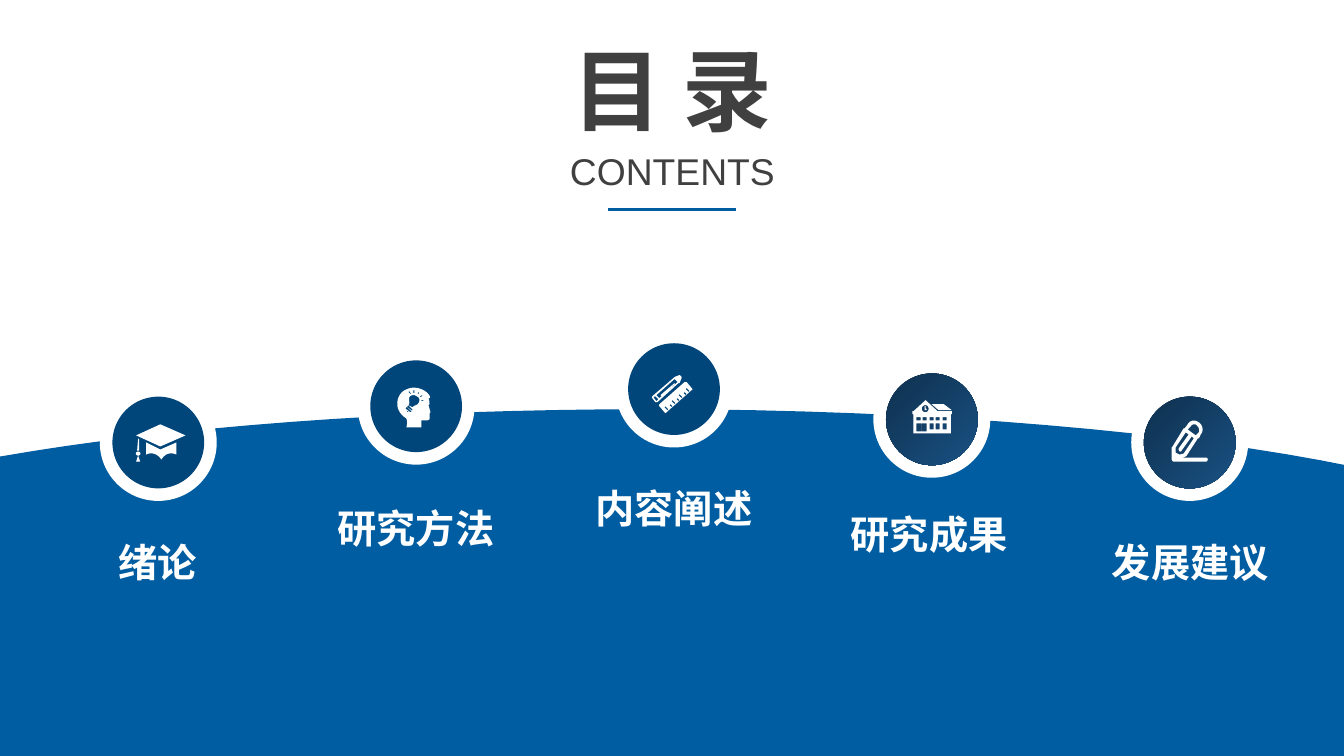
from dataclasses import dataclass

from lxml.etree import SubElement
from pptx import Presentation
from pptx.dml.color import RGBColor
from pptx.enum.shapes import MSO_CONNECTOR, MSO_SHAPE
from pptx.enum.text import MSO_ANCHOR, PP_ALIGN
from pptx.oxml.ns import qn
from pptx.util import Inches, Pt

BLUE, NAVY, WHITE, GREY = "005DA2", "00467A", "FFFFFF", "404040"
DEEP, STEEL = "0F304E", "195183"
CJK = "Noto Sans CJK SC"
RING, DISC = 1.16, 0.91
FIRST_RING, RING_PITCH = 0.99, 2.5575
LABEL_WIDTH, LABEL_HEIGHT = 1.77, 0.57
CURVE_STEPS = 16


@dataclass
class Section:
    label: str
    ring_top: float
    label_left: float
    label_top: float
    disc_colors: tuple[str, ...]
    icon: list[str]


def box(left: int, top: int, right: int, bottom: int) -> str:
    return f"{left},{top} {right},{top} {right},{bottom} {left},{bottom}"


# Outlines in hundredths of an inch; "C" opens a cubic curve of three points
HILL = ["0,453 C 164,424 391,406 645,406 C 926,406 1178,429 1342,463 1342,766 -3,770"]

CAP = [
    "145,451 C 151,448 157,451 160,456 C 163,451 168,448 175,451 175,439 159,446 145,439",
    "159,421 135,432 159,443 184,432",
    "137,435 136,447 138,447 138,436",
    "139,458 137,452 C 140,452 140,448 137,448 C 134,448 134,452 137,452 135,458",
]

HEAD = [
    "403,424 C 404,421 404,418 403,415 C 389,407 393,389 404,386"
    " C 410,383 419,385 424,390 C 428,394 426,395 426,395 425,395"
    " C 426,397 426,401 426,401 425,402 427,409 426,410"
    " C 426,412 426,414 426,416 424,417 418,417 418,424",
    "408,408 404,404 403,404 C 402,405 402,405 403,406 407,409 408,409",
    "418,398 420,398 420,397 418,397",
    "408,391 406,388 405,389 407,391",
    "411,390 411,387 410,387 410,390",
    "417,394 419,393 419,392 416,393",
    "415,391 416,389 415,389 414,391",
    "409,406 405,402 404,403 404,404 408,407 409,407",
    "413,393 C 411,391 407,392 406,394 C 405,397 407,400 405,402 409,404"
    " C 411,402 414,402 415,400 C 417,397 416,394 413,393",
    "403,407 404,409 406,409",
]

RULER_NOTCHES = [(663, 406), (667, 403), (670, 400), (674, 397), (677, 394), (681, 391), (684, 388)]
PENCIL_AND_RULER = [
    "656,393 655,392 669,380 669,381",
    "653,396 650,393 648,394 651,398",
    "672,379 669,376 651,392 654,395",
    "650,399 647,395 C 646,395 647,394 647,393 668,375 669,374 674,372"
    " C 675,373 676,373 676,375 674,380 673,380 652,399 C 652,399 651,399 650,399",
    "659,409 654,403 C 653,403 654,402 654,401 679,379 C 680,379 681,379 681,379"
    " 686,385 C 687,386 687,387 686,387 661,409 C 661,410 660,410 659,409",
] + [
    f"{x},{y} {x - 3 + i % 2},{y - 3 + i % 2} {x - 4 + i % 2},{y - 2 + i % 2} {x - 1},{y + 1}"
    for i, (x, y) in enumerate(RULER_NOTCHES)
]

SCHOOL = [
    "924,401 936,401 944,407 931,407",
    "918,407 917,407 917,403 918,403 918,405 919,406 919,407",
    "918,402 C 913,402 913,409 918,409 C 922,409 922,402 918,402",
    "943,411 943,430 906,430 906,411 905,411 905,408 906,408"
    " 918,397 930,408 944,408 944,411",
    box(909, 414, 913, 417),
    box(915, 414, 919, 417),
    box(909, 420, 914, 428),
    box(914, 420, 919, 428),
] + [
    box(x, top, x + 4, bottom)
    for x in (922, 928, 935)
    for top, bottom in ((414, 417), (420, 426))
]

PAPERCLIP = [
    "1196,454 1172,454 1176,453 1177,452 1188,435 1189,435 1191,431"
    " C 1194,427 1193,422 1189,419 C 1185,416 1180,417 1178,421 1175,425 1174,425"
    " 1163,443 1162,444 1162,455 C 1162,456 1163,458 1164,458 1196,458"
    " C 1198,458 1199,454 1196,454",
    "1181,423 C 1182,421 1185,420 1187,422 C 1189,424 1190,426 1189,429 1186,432 1178,426",
    "1166,449 1166,444 1176,429 1179,431 1169,445 C 1169,448 1171,449 1172,447"
    " 1182,433 1184,435 1174,450 1170,451",
]

SECTIONS = [
    Section("绪论", 3.81, 0.68, 5.29, (NAVY,), CAP),
    Section("研究方法", 3.45, 3.24, 4.95, (NAVY,), HEAD),
    Section("内容阐述", 3.28, 5.8, 4.75, (NAVY,), PENCIL_AND_RULER),
    Section("研究成果", 3.58, 8.33, 5.01, (DEEP, STEEL), SCHOOL),
    Section("发展建议", 3.81, 10.92, 5.29, (DEEP, STEEL), PAPERCLIP),
]


def rgb(color: str) -> RGBColor:
    return RGBColor.from_string(color)


def paint(shape, *colors: str) -> None:
    """Fill with one colour, or with a diagonal gradient of two."""
    if len(colors) == 1:
        shape.fill.solid()
        shape.fill.fore_color.rgb = rgb(colors[0])
    else:
        shape.fill.gradient()
        shape.fill.gradient_angle = 315
        for stop, color in zip(shape.fill.gradient_stops, colors):
            stop.color.rgb = rgb(color)
    shape.line.fill.background()
    shape.shadow.inherit = False


def trace(contour: str) -> list[tuple[int, int]]:
    """Turn a contour into points in EMU, sampling its curves."""
    points: list[tuple[float, float]] = []
    tokens = iter(contour.split())

    def read(token: str) -> tuple[float, ...]:
        return tuple(float(value) / 100 for value in token.split(","))

    for token in tokens:
        if token != "C":
            points.append(read(token))
            continue
        start, (a, b, end) = points[-1], [read(next(tokens)) for _ in range(3)]
        for step in range(1, CURVE_STEPS + 1):
            t = step / CURVE_STEPS
            u = 1 - t
            points.append(tuple(
                u**3 * p + 3 * u * u * t * q + 3 * u * t * t * r + t**3 * s
                for p, q, r, s in zip(start, a, b, end)
            ))
    return [(Inches(x), Inches(y)) for x, y in points]


def add_outline(slide, contours: list[str], color: str) -> None:
    first, *others = [trace(contour) for contour in contours]
    builder = slide.shapes.build_freeform(*first[0])
    builder.add_line_segments(first[1:], close=True)
    for points in others:
        builder.move_to(*points[0])
        builder.add_line_segments(points[1:], close=True)
    paint(builder.convert_to_shape(), color)


def add_circle(slide, left: float, top: float, size: float, *colors: str) -> None:
    circle = slide.shapes.add_shape(
        MSO_SHAPE.OVAL, Inches(left), Inches(top), Inches(size), Inches(size))
    paint(circle, *colors)


def add_text(slide, text: str, left: float, top: float, width: float, height: float,
             size: float, font: str, color: str, bold: bool) -> None:
    frame = slide.shapes.add_textbox(
        Inches(left), Inches(top), Inches(width), Inches(height)).text_frame
    frame.word_wrap = False
    frame.vertical_anchor = MSO_ANCHOR.MIDDLE
    frame.text = text
    paragraph = frame.paragraphs[0]
    paragraph.alignment = PP_ALIGN.CENTER
    run_font = paragraph.runs[0].font
    run_font.size, run_font.bold, run_font.name = Pt(size), bold, font
    run_font.color.rgb = rgb(color)
    SubElement(paragraph.runs[0]._r.get_or_add_rPr(), qn("a:ea")).set("typeface", font)


def add_section(slide, section: Section, ring_left: float) -> None:
    inset = (RING - DISC) / 2
    add_circle(slide, ring_left, section.ring_top, RING, WHITE)
    add_circle(slide, ring_left + inset, section.ring_top + inset, DISC, *section.disc_colors)
    add_outline(slide, section.icon, WHITE)
    add_text(slide, section.label, section.label_left, section.label_top,
             LABEL_WIDTH, LABEL_HEIGHT, 28, CJK, WHITE, True)


def main() -> None:
    deck = Presentation()
    deck.slide_width, deck.slide_height = Inches(13.33), Inches(7.5)
    slide = deck.slides.add_slide(deck.slide_layouts[6])

    # Hill with the five sections along its crest
    add_outline(slide, HILL, BLUE)
    for index, section in enumerate(SECTIONS):
        add_section(slide, section, FIRST_RING + index * RING_PITCH)

    # Heading with its underline
    add_text(slide, "目 录", 5.53, 0.29, 2.27, 1.18, 64, CJK, GREY, True)
    add_text(slide, "CONTENTS", 5.54, 1.42, 2.26, 0.55, 26.6, "Arial", GREY, False)
    underline = slide.shapes.add_connector(
        MSO_CONNECTOR.STRAIGHT, Inches(6.03), Inches(2.08), Inches(7.3), Inches(2.08))
    underline.line.color.rgb = rgb(BLUE)
    underline.line.width = Pt(2.25)
    SubElement(underline._element.spPr, qn("a:effectLst"))

    deck.save("out.pptx")


if __name__ == "__main__":
    main()
